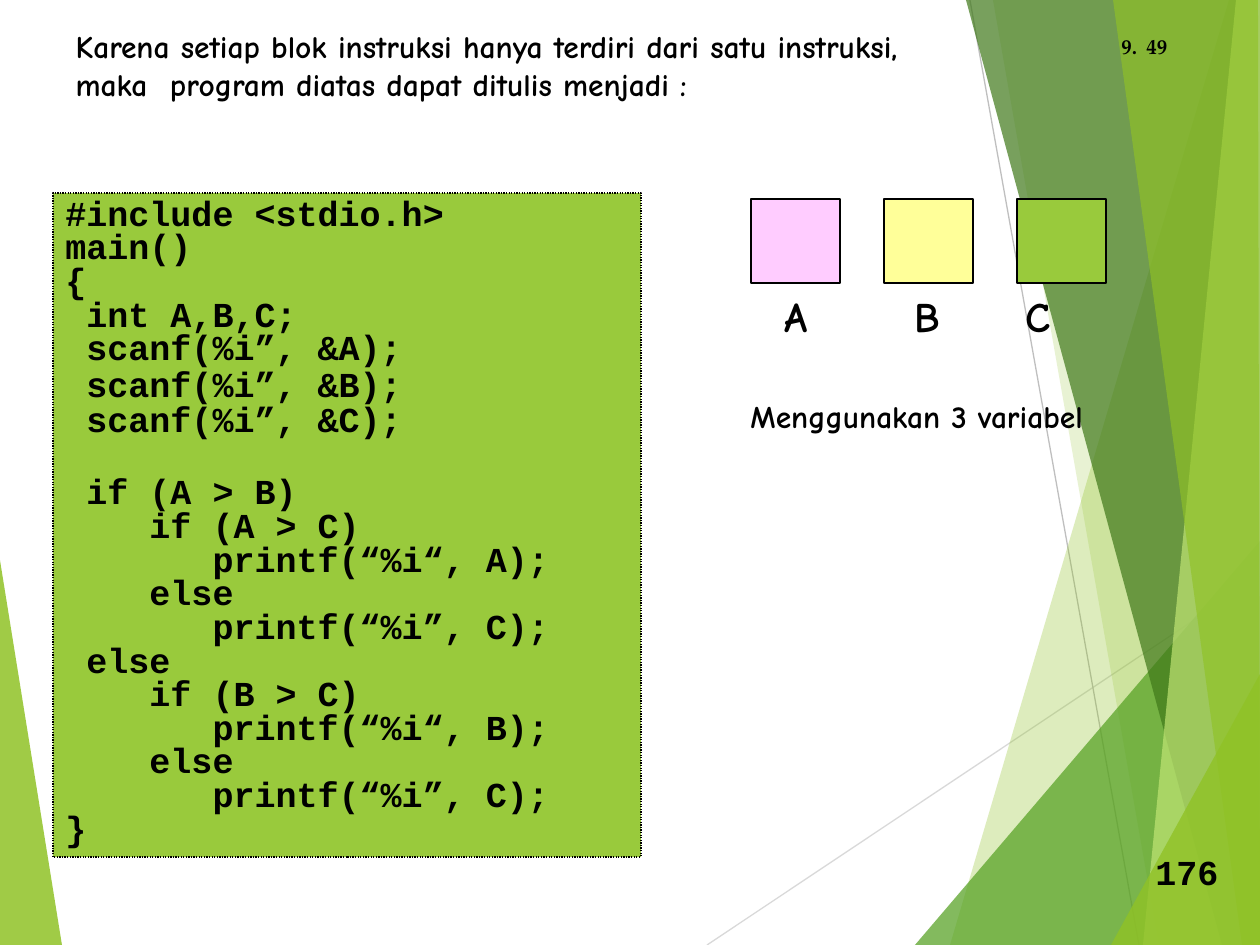
import pptx
import pptx.util
import pptx.dml.color
import pptx.enum.dml
import pptx.enum.shapes
import pptx.enum.text
import pptx.oxml
import pptx.oxml.ns

PX = 914400 / 126
COLORS = {
    "black": "000000", "lime": "90C226", "green": "54A021", "forest": "3F7819",
    "pale": "C0E474", "code": "99CA3C", "pink": "FFCCFF", "yellow": "FFFF99",
    "light_gray": "D9D9D9", "gray": "BFBFBF",
}


def rgb(name):
    return pptx.dml.color.RGBColor.from_string(COLORS[name])


def write(shape, lines, size, font, wrap=False):
    tf = shape.text_frame
    tf.word_wrap = wrap
    tf.auto_size = pptx.enum.text.MSO_AUTO_SIZE.NONE
    tf.vertical_anchor = pptx.enum.text.MSO_ANCHOR.TOP
    tf.text = "\n".join(lines)
    for p in tf.paragraphs:
        p.alignment = pptx.enum.text.PP_ALIGN.LEFT
        for r in p.runs:
            r.font.size = pptx.util.Pt(size)
            r.font.name = font
            r.font.bold = True
            r.font.color.rgb = rgb("black")
    return tf


prs = pptx.Presentation()
prs.slide_width = int(1260 * PX)
prs.slide_height = int(945 * PX)
slide = prs.slides.add_slide(prs.slide_layouts[5])
shapes = slide.shapes

lines = [(707, 945, 1260, 576, "light_gray"), (970, 0, 1139, 945, "gray")]
for x1, y1, x2, y2, color in lines:
    line = shapes.add_connector(
        pptx.enum.shapes.MSO_CONNECTOR.STRAIGHT, *[int(v * PX) for v in (x1, y1, x2, y2)])
    line.line.color.rgb = rgb(color)
    line.line.width = pptx.util.Pt(0.75)
    line._element.spPr.append(pptx.oxml.parse_xml(
        "<a:effectLst %s/>" % pptx.oxml.ns.nsdecls("a")))

facets = [
    ([(0, 560), (62, 945), (0, 945)], "lime", 85),
    ([(1229, 0), (950, 945), (1260, 945), (1260, 0)], "lime", 30),
    ([(993, 0), (1159, 945), (1260, 945), (1260, 0)], "lime", 20),
    ([(915, 945), (1260, 541), (1260, 945)], "green", 72),
    ([(966, 0), (1222, 945), (1260, 945), (1260, 0)], "forest", 70),
    ([(1236, 0), (1143, 945), (1260, 945), (1260, 0)], "pale", 70),
    ([(1113, 0), (1242, 945), (1260, 945), (1258, 0)], "lime", 65),
    ([(1111, 945), (1260, 674), (1260, 945)], "lime", 80),
]
for points, color, opacity in facets:
    fb = shapes.build_freeform(*points[0], scale=PX)
    fb.add_line_segments(points[1:], close=True)
    sp = fb.convert_to_shape()
    sp.shadow.inherit = False
    sp.line.fill.background()
    sp.fill.solid()
    sp.fill.fore_color.rgb = rgb(color)
    fill = sp._element.spPr.find(pptx.oxml.ns.qn("a:solidFill"))
    fill[0].append(pptx.oxml.parse_xml(
        '<a:alpha %s val="%d"/>' % (pptx.oxml.ns.nsdecls("a"), opacity * 1000)))

code = [
    "#include <stdio.h>",
    "main()",
    "{",
    " int A,B,C;",
    " scanf(%i”, &A);",
    " scanf(%i”, &B);",
    " scanf(%i”, &C);",
    " if (A > B)",
    "    if (A > C)",
    "       printf(“%i“, A);",
    "    else",
    "       printf(“%i”, C);",
    " else",
    "    if (B > C)",
    "       printf(“%i“, B);",
    "    else",
    "       printf(“%i”, C);",
    "}",
]
boxes = [
    (53, 193, 588, 664, "code"),
    (751, 199, 89, 84, "pink"),
    (884, 199, 89, 84, "yellow"),
    (1017, 199, 89, 84, "code"),
]
rects = []
for x, y, w, h, color in boxes:
    sp = shapes.add_shape(
        pptx.enum.shapes.MSO_SHAPE.RECTANGLE, *[int(v * PX) for v in (x, y, w, h)])
    sp.shadow.inherit = False
    sp.fill.solid()
    sp.fill.fore_color.rgb = rgb(color)
    sp.line.color.rgb = rgb("black")
    sp.line.width = pptx.util.Pt(0.75)
    rects.append(sp)

rects[0].line.dash_style = pptx.enum.dml.MSO_LINE.ROUND_DOT
tf = write(rects[0], code, 20, "Courier New", wrap=True)
for p in tf.paragraphs:
    p.line_spacing = 0.8
tf.paragraphs[5].line_spacing = 0.9
tf.paragraphs[7].line_spacing = 0.9
tf.paragraphs[7].space_before = pptx.util.Pt(20)

title = shapes.title
title.left, title.top, title.width, title.height = [int(v * PX) for v in (63, 21, 892, 88)]
write(title, ["Karena setiap blok instruksi hanya terdiri dari satu instruksi, "
              "maka  program diatas dapat ditulis menjadi :"], 18, "Comic Neue", wrap=True)

labels = [
    (772, 284, 48, 63, "A", 24, "Comic Neue"),
    (902, 284, 50, 63, "B", 24, "Comic Neue"),
    (1013, 284, 50, 63, "C", 24, "Comic Neue"),
    (738, 391, 358, 50, "Menggunakan 3 variabel", 18, "Comic Neue"),
    (1134, 27, 84, 42, "49", 12, "TeX Gyre Pagella"),
    (1109, 27, 43, 38, "9.", 12, "TeX Gyre Pagella"),
    (1143, 844, 88, 55, "176", 20, "Courier New"),
]
for x, y, w, h, text, size, font in labels:
    box = shapes.add_textbox(*[int(v * PX) for v in (x, y, w, h)])
    write(box, [text], size, font)

prs.save("out.pptx")
